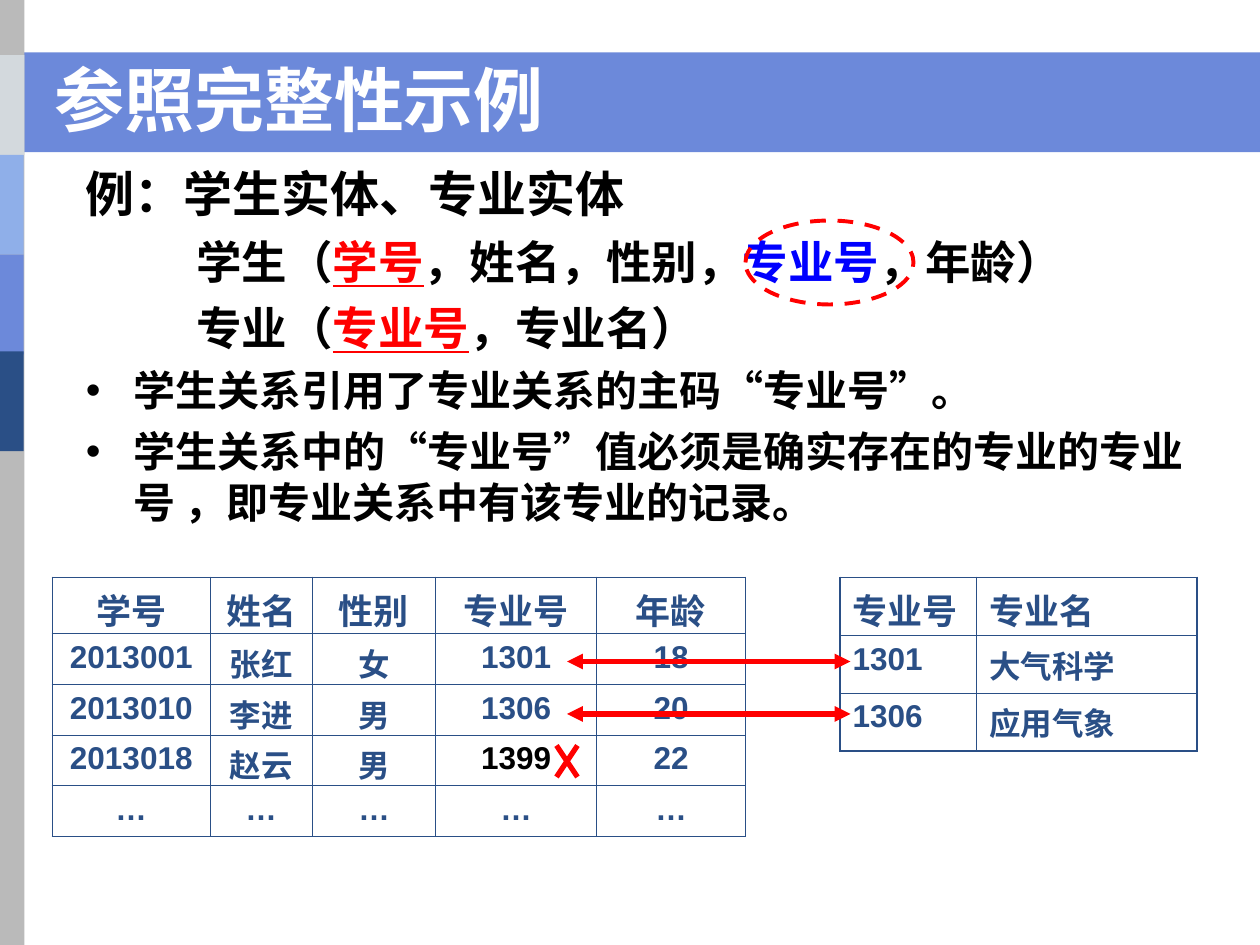
"""Build the slide that illustrates referential integrity with two linked tables."""
import pptx
import pptx.dml.color
import pptx.enum.dml
import pptx.enum.shapes
import pptx.enum.text
import pptx.oxml.ns
import pptx.util
from lxml import etree

Pt = pptx.util.Pt
SHAPE = pptx.enum.shapes.MSO_SHAPE
ALIGN = pptx.enum.text.PP_ALIGN
THEME = {
    "colour": {name: pptx.dml.color.RGBColor.from_string(value) for name, value in {
        "band": "6C89DA", "rail": "BABABA", "mist": "D3D9DD", "sky": "8FAFE9",
        "navy": "2A4F86", "red": "FF0000", "blue": "0000FF", "black": "000000",
        "white": "FFFFFF"}.items()},
    "size": {"title": 40, "lead": 28, "schema": 26, "point": 24, "head": 20, "cell": 18},
    "font": {"title": "DejaVu Sans", "body": "Noto Sans CJK SC", "table": "Arial"},
}
COLOUR = THEME["colour"]


def add_child(parent, tag, **attributes):
    return etree.SubElement(parent, pptx.oxml.ns.qn(tag), attributes)


def add_span(para, text, size, font, colour, underline=False):
    span = para.add_run()
    span.text = text
    values = {"size": Pt(THEME["size"][size]), "name": THEME["font"][font],
              "bold": True, "underline": underline}
    for name, value in values.items():
        setattr(span.font, name, value)
    span.font.color.rgb = COLOUR[colour]
    add_child(span.font._element, "a:ea", typeface=THEME["font"]["body"])


deck = pptx.Presentation()
deck.slide_width, deck.slide_height = Pt(720), Pt(540)
page = deck.slides.add_slide(deck.slide_layouts[6])

for left, top, width, height, colour in [
    (0, 30, 720, 57, "band"),
    (-1, 0, 15, 540, "rail"),
    (0, 31.5, 14, 57, "mist"),
    (-1, 88.5, 14.5, 57, "sky"),
    (-1, 145.5, 14.5, 57, "band"),
    (-1, 200.75, 14.5, 57, "navy"),
]:
    bar = page.shapes.add_shape(SHAPE.RECTANGLE, Pt(left), Pt(top), Pt(width), Pt(height))
    bar.shadow.inherit = False
    bar.fill.solid()
    bar.fill.fore_color.rgb = COLOUR[colour]
    bar.line.fill.background()

lines = [
    ("lead", 0, [("例：学生实体、专业实体", "black")]),
    ("schema", 6.5, [("\t\t学生（", "black"), ("学号", "red"), ("，姓名，性别，", "black"),
                     ("专业号", "blue"), ("，年龄）", "black")]),
    ("schema", 6.5, [("\t\t专业（", "black"), ("专业号", "red"), ("，专业名）", "black")]),
    ("point", 6, [("学生关系引用了专业关系的主码“专业号”。", "black")]),
    ("point", 6, [("学生关系中的“专业号”值必须是确实存在的专业的专业号 ，即专业关系中有该专业的记录。",
                   "black")]),
]
box = page.shapes.add_textbox(Pt(42), Pt(90), Pt(648), Pt(232.5))
box.text_frame.word_wrap = True
for index, (size, space, spans) in enumerate(lines):
    para = box.text_frame.add_paragraph() if index else box.text_frame.paragraphs[0]
    para.space_before = Pt(space)
    properties = para._p.get_or_add_pPr()
    properties.set("marL", str(Pt(27)))
    properties.set("indent", str(-Pt(27)))
    if size == "point":
        add_child(add_child(properties, "a:buClr"), "a:srgbClr", val=str(COLOUR["black"]))
        add_child(properties, "a:buFont", typeface=THEME["font"]["table"])
        add_child(properties, "a:buChar", char="•")
    else:
        add_child(properties, "a:buNone")
        tabs = add_child(properties, "a:tabLst")
        for stop in (0, 72):
            add_child(tabs, "a:tab", pos=str(Pt(stop)), algn="l")
    for text, colour in spans:
        add_span(para, text, size, "body", colour, underline=colour == "red")

title = page.shapes.add_textbox(Pt(24), Pt(30), Pt(366), Pt(54))
title.text_frame.word_wrap = True
title.text_frame.vertical_anchor = pptx.enum.text.MSO_ANCHOR.BOTTOM
add_span(title.text_frame.paragraphs[0], "参照完整性示例", "title", "title", "white")

ring = page.shapes.add_shape(SHAPE.OVAL, Pt(426), Pt(126), Pt(96), Pt(48))
ring.shadow.inherit = False
ring.fill.background()
ring.line.color.rgb = COLOUR["red"]
ring.line.width = Pt(2.25)
ring.line.dash_style = pptx.enum.dml.MSO_LINE.DASH

students = [
    ["学号", "姓名", "性别", "专业号", "年龄"],
    ["2013001", "张红", "女", "1301", "18"],
    ["2013010", "李进", "男", "1306", "20"],
    ["2013018", "赵云", "男", "1399", "22"],
    ["…"] * 5,
]
majors = [["专业号", "专业名"], ["1301", "大气科学"], ["1306", "应用气象"]]
for left, widths, heights, align, rows in [
    (30, [90, 58.5, 70.5, 92, 85], [32, 29, 29, 29, 29], ALIGN.CENTER, students),
    (480, [78, 126], [33, 33, 33], ALIGN.LEFT, majors),
]:
    frame = page.shapes.add_table(len(rows), len(widths), Pt(left), Pt(330),
                                  Pt(sum(widths)), Pt(sum(heights)))
    table = frame.table
    table.first_row = table.horz_banding = False
    for column, width in zip(table.columns, widths):
        column.width = Pt(width)
    for r, row in enumerate(rows):
        table.rows[r].height = Pt(heights[r])
        for c, text in enumerate(row):
            cell = table.cell(r, c)
            para = cell.text_frame.paragraphs[0]
            para.alignment = align
            add_span(para, text, "cell" if r else "head", "table",
                     "black" if text == "1399" else "navy")
            properties = cell._tc.get_or_add_tcPr()
            outer_edges = {"a:lnL": c == 0, "a:lnR": c == len(row) - 1,
                           "a:lnT": r == 0, "a:lnB": r == len(rows) - 1}
            for tag, outer in outer_edges.items():
                edge = add_child(properties, tag, w=str(Pt(1.08 if outer else 0.45)))
                add_child(add_child(edge, "a:solidFill"), "a:srgbClr", val=str(COLOUR["navy"]))
            cell.fill.background()

cross = page.shapes.add_group_shape()
for parent, start_x, start_y, end_x, end_y, arrows in [
    (page, 324, 378, 486, 378, True),
    (page, 324, 408, 486, 408, True),
    (cross, 330, 426, 318, 444, False),
    (cross, 318, 426, 330, 444, False),
]:
    link = parent.shapes.add_connector(pptx.enum.shapes.MSO_CONNECTOR.STRAIGHT,
                                       Pt(start_x), Pt(start_y), Pt(end_x), Pt(end_y))
    link.line.color.rgb = COLOUR["red"]
    link.line.width = Pt(3)
    if arrows:
        for tag in ("a:headEnd", "a:tailEnd"):
            add_child(link.line._get_or_add_ln(), tag, type="triangle")
    add_child(link._element.spPr, "a:effectLst")

deck.save("out.pptx")
